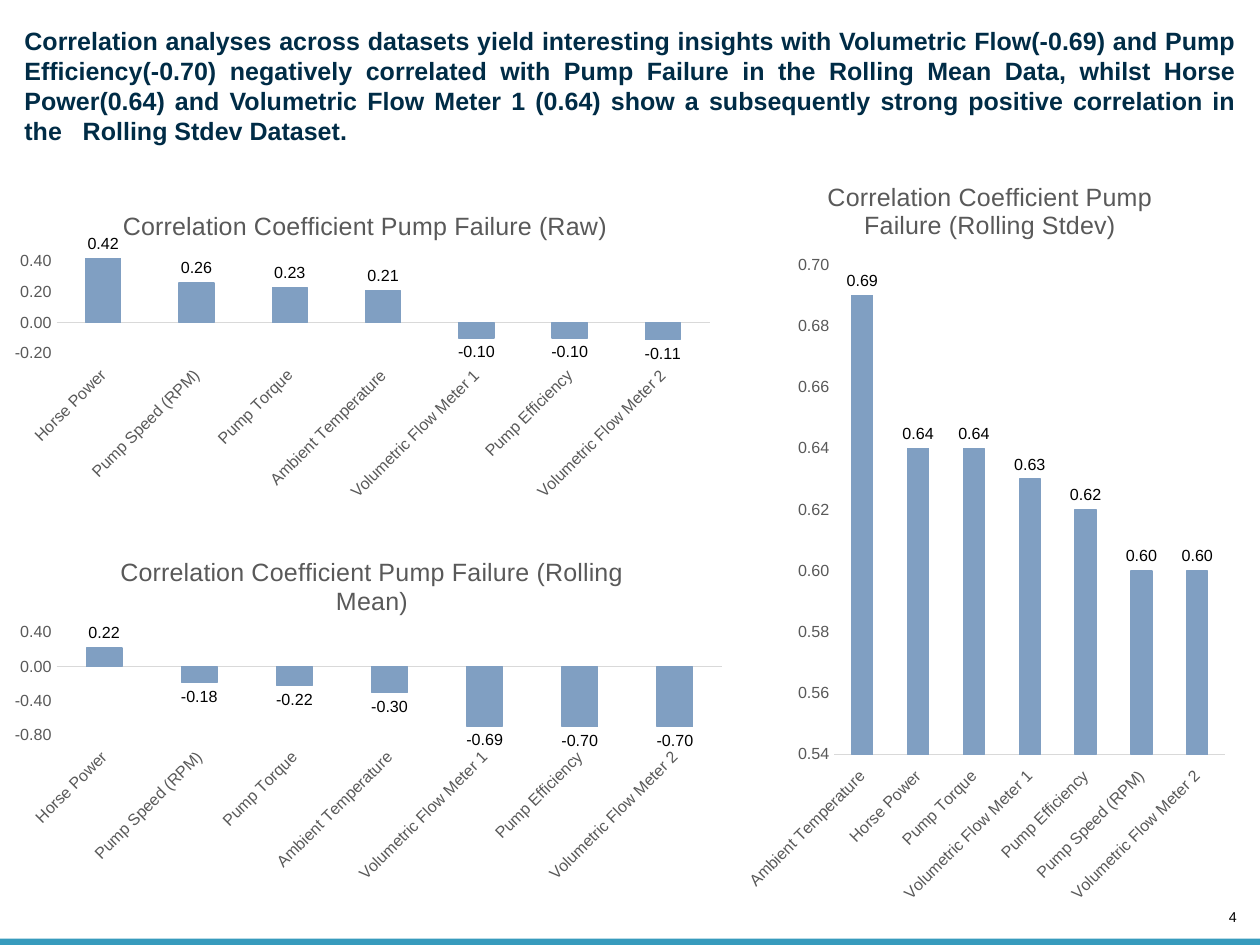
from lxml.etree import SubElement
from pptx import Presentation
from pptx.chart.data import CategoryChartData
from pptx.dml.color import RGBColor
from pptx.enum.chart import XL_CHART_TYPE, XL_LABEL_POSITION, XL_TICK_LABEL_POSITION, XL_TICK_MARK
from pptx.enum.shapes import MSO_SHAPE
from pptx.enum.text import MSO_ANCHOR, PP_ALIGN
from pptx.oxml.ns import qn
from pptx.util import Emu, Pt

EMU_PER_PX = 9144
FONT = "Arial"
HEADLINE = (
    "Correlation analyses across datasets yield interesting insights with Volumetric Flow(-0.69) "
    "and Pump Efficiency(-0.70) negatively correlated with Pump Failure in the Rolling Mean Data, "
    "whilst Horse Power(0.64) and Volumetric Flow Meter 1 (0.64) show a subsequently strong "
    "positive correlation in the   Rolling Stdev Dataset."
)
SENSORS = ["Horse Power", "Pump Speed (RPM)", "Pump Torque", "Ambient Temperature",
           "Volumetric Flow Meter 1", "Pump Efficiency", "Volumetric Flow Meter 2"]
STDEV_SENSORS = ["Ambient Temperature", "Horse Power", "Pump Torque", "Volumetric Flow Meter 1",
                 "Pump Efficiency", "Pump Speed (RPM)", "Volumetric Flow Meter 2"]
CHARTS = [
    {"box": (0, 145, 563, 251), "name": "Raw", "sensors": SENSORS,
     "values": [0.42, 0.26, 0.23, 0.21, -0.10, -0.10, -0.11], "scale": (-0.2, 0.42, 0.2),
     "title_at": (92, 15), "plot": (44, 56, 508, 74)},
    {"box": (0, 414, 573, 279), "name": "Rolling Mean", "sensors": SENSORS,
     "values": [0.22, -0.18, -0.22, -0.30, -0.69, -0.70, -0.70], "scale": (-0.8, 0.4, 0.4),
     "title_at": (90, 15), "plot": (44, 78, 518, 80)},
    {"box": (573, 114, 388, 600), "name": "Rolling Stdev", "sensors": STDEV_SENSORS,
     "values": [0.69, 0.64, 0.64, 0.63, 0.62, 0.60, 0.60], "scale": (0.54, 0.7, 0.02),
     "title_at": (67, 23), "plot": (76, 92, 304, 381)},
]


def px(length):
    """Turn px into EMU."""
    return Emu(length * EMU_PER_PX)


def color(value):
    """Turn a hex string into a colour."""
    return RGBColor.from_string(value)


def style_font(font, size, value, bold=False):
    """Set the face, size, colour and weight of a font."""
    font.name = FONT
    font.size = Pt(size)
    font.bold = bold
    font.color.rgb = color(value)


def add_text(slide, box, text, size, value, align, bold=False, wrap=True, anchor=MSO_ANCHOR.TOP):
    """Place one paragraph without margins and return it."""
    frame = slide.shapes.add_textbox(*map(px, box)).text_frame
    frame.word_wrap = wrap
    frame.vertical_anchor = anchor
    frame.margin_left = frame.margin_right = frame.margin_top = frame.margin_bottom = 0
    paragraph = frame.paragraphs[0]
    paragraph.alignment = align
    run = paragraph.add_run()
    run.text = text
    style_font(run.font, size, value, bold)
    return paragraph


def add_footer(slide, box):
    """Place the bottom band and the page number above it."""
    left, top, width, height = box
    band = slide.shapes.add_shape(MSO_SHAPE.RECTANGLE, *map(px, box))
    band.shadow.inherit = False
    band.fill.solid()
    band.fill.fore_color.rgb = color("379BBD")
    band.line.fill.background()
    add_text(slide, (left + width - 32, top - 23, 14, 13), "4", 8, "000000",
             PP_ALIGN.RIGHT, wrap=False, anchor=MSO_ANCHOR.BOTTOM)


def set_layout(parent, index, chart_box, part_box, inner=False):
    """Fix a chart part at px measured from the chart corner."""
    for old_layout in parent.findall(qn("c:layout")):
        parent.remove(old_layout)
    layout = SubElement(parent, qn("c:layout"))
    parent.insert(index, layout)
    manual = SubElement(layout, qn("c:manualLayout"))
    settings = [("layoutTarget", "inner")] if inner else []
    settings += [("xMode", "edge"), ("yMode", "edge")]
    sizes = (chart_box[2], chart_box[3]) * 2
    settings += [(name, f"{length / size:.4f}") for name, length, size in zip("xywh", part_box, sizes)]
    for name, value in settings:
        SubElement(manual, qn(f"c:{name}")).set("val", value)


def style_axis(axis):
    """Apply the look shared by both axes."""
    axis.has_major_gridlines = False
    axis.major_tick_mark = axis.minor_tick_mark = XL_TICK_MARK.NONE
    style_font(axis.tick_labels.font, 9, "595959")


def add_correlation_chart(slide, box, name, sensors, values, scale, title_at, plot):
    """Place one column chart of correlation coefficients."""
    data = CategoryChartData(number_format="0.00")
    data.categories = sensors
    data.add_series("Series 1", values)
    chart = slide.shapes.add_chart(XL_CHART_TYPE.COLUMN_CLUSTERED, *map(px, box), data).chart
    style_font(chart.font, 10, "000000")
    chart.has_legend = False

    run = chart.chart_title.text_frame.paragraphs[0].add_run()
    run.text = f"Correlation Coefficient Pump Failure ({name})"
    style_font(run.font, 14, "595959")
    title = chart.chart_title._element
    set_layout(title, 1, box, title_at)
    set_layout(title.getparent().find(qn("c:plotArea")), 0, box, plot, inner=True)

    category_axis, value_axis = chart.category_axis, chart.value_axis
    style_axis(category_axis)
    category_axis.tick_label_position = XL_TICK_LABEL_POSITION.LOW
    category_axis.format.line.color.rgb = color("D9D9D9")
    category_axis.format.line.width = Pt(0.75)
    category_axis._element.find(qn("c:txPr")).find(qn("a:bodyPr")).set("rot", "-2700000")
    style_axis(value_axis)
    value_axis.format.line.fill.background()
    value_axis.minimum_scale, value_axis.maximum_scale, value_axis.major_unit = scale
    value_axis.tick_labels.number_format = "0.00"
    value_axis.tick_labels.number_format_is_linked = False

    columns = chart.plots[0]
    columns.gap_width = 166
    columns.overlap = -27
    columns.vary_by_categories = False
    series = columns.series[0]
    series.invert_if_negative = False
    series.format.fill.solid()
    series.format.fill.fore_color.rgb = color("809FC2")
    series.format.line.color.rgb = color("809FC2")
    series.format.line.width = Pt(0.75)
    labels = series.data_labels
    labels.show_value = True
    labels.position = XL_LABEL_POSITION.OUTSIDE_END
    labels.number_format = "0.00"
    labels.number_format_is_linked = False
    style_font(labels.font, 9, "000000")


def main():
    """Build the slide and save it."""
    presentation = Presentation()
    presentation.slide_width, presentation.slide_height = px(980), px(735)
    slide = presentation.slides.add_slide(presentation.slide_layouts[6])
    add_footer(slide, (0, 730, 980, 5))
    headline = add_text(slide, (19, 20, 943, 94), HEADLINE, 14, "002C46", PP_ALIGN.JUSTIFY, bold=True)
    headline.line_spacing = Pt(16.8)
    for chart in CHARTS:
        add_correlation_chart(slide, **chart)
    presentation.save("out.pptx")


if __name__ == "__main__":
    main()
